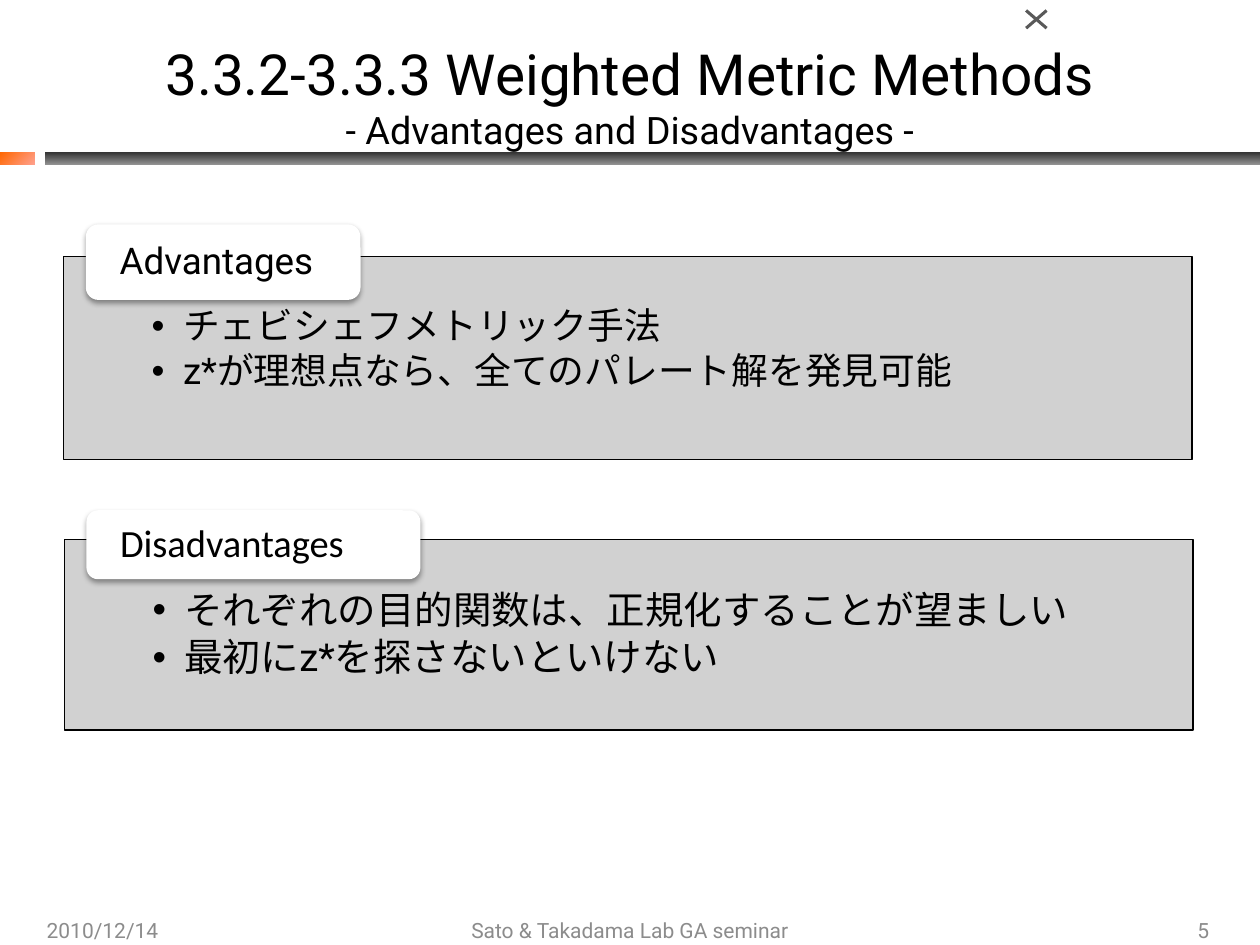
from lxml import etree
from pptx import Presentation
from pptx.dml.color import RGBColor
from pptx.enum.shapes import MSO_SHAPE
from pptx.enum.text import MSO_ANCHOR, MSO_AUTO_SIZE, PP_ALIGN
from pptx.oxml.ns import qn
from pptx.util import Pt

RECTANGLE, ROUNDED, MULTIPLY = MSO_SHAPE.RECTANGLE, MSO_SHAPE.ROUNDED_RECTANGLE, MSO_SHAPE.MATH_MULTIPLY
TOP, MIDDLE = MSO_ANCHOR.TOP, MSO_ANCHOR.MIDDLE
LEFT, CENTER, RIGHT = PP_ALIGN.LEFT, PP_ALIGN.CENTER, PP_ALIGN.RIGHT
NO_AUTOFIT = MSO_AUTO_SIZE.NONE

BLACK = RGBColor(0x00, 0x00, 0x00)
WHITE = RGBColor(0xFF, 0xFF, 0xFF)
PANEL_GRAY = RGBColor(0xCC, 0xCC, 0xCC)
FOOTER_GRAY = RGBColor(0x8C, 0x8C, 0x8C)
MARK_GRAY = RGBColor(0x59, 0x59, 0x59)
ORANGE, PEACH = RGBColor(0xFF, 0x66, 0x00), RGBColor(0xFF, 0xA2, 0x8F)
CHARCOAL, SILVER = RGBColor(0x33, 0x33, 0x33), RGBColor(0x93, 0x93, 0x93)


def set_values(target, values):
    for name, value in values.items():
        setattr(target, name, value)


def add_element(parent, tag, **attributes):
    return etree.SubElement(parent, qn(tag), attributes)


class SlideBuilder:
    font = "Roboto"

    def __init__(self, slide):
        self.slide = slide

    def place(self, shape, box):
        set_values(shape, dict(zip(("left", "top", "width", "height"), map(Pt, box))))

    def format_frame(self, frame, anchor=MIDDLE, side=0, top=0):
        set_values(frame, {
            "word_wrap": True, "auto_size": NO_AUTOFIT, "vertical_anchor": anchor,
            "margin_left": Pt(side), "margin_right": Pt(side),
            "margin_top": Pt(top), "margin_bottom": Pt(0)})

    def add_text(self, paragraph, text, size, color=BLACK, font=None, **layout):
        run = paragraph.add_run()
        run.text = text
        set_values(run.font, {"size": Pt(size), "name": font or self.font})
        run.font.color.rgb = color
        set_values(paragraph, layout)

    def title(self, box, lines):
        title = self.slide.shapes.title
        self.place(title, box)
        self.format_frame(title.text_frame)
        paragraph = title.text_frame.paragraphs[0]
        for number, (text, size) in enumerate(lines):
            if number:
                paragraph.add_line_break()
            self.add_text(paragraph, text, size, alignment=CENTER)

    def shape(self, kind, box, color):
        shape = self.slide.shapes.add_shape(kind, *map(Pt, box))
        shape.shadow.inherit = False
        shape.fill.solid()
        shape.fill.fore_color.rgb = color
        shape.line.fill.background()
        return shape

    def gradient_bar(self, box, colors, angle):
        bar = self.shape(RECTANGLE, box, colors[0])
        bar.fill.gradient()
        bar.fill.gradient_angle = angle
        for stop, color, position in zip(bar.fill.gradient_stops, colors, (0, 1)):
            stop.color.rgb = color
            stop.position = position

    def footer(self, box, text, alignment):
        frame = self.slide.shapes.add_textbox(*map(Pt, box)).text_frame
        self.format_frame(frame, side=7.2)
        self.add_text(frame.paragraphs[0], text, 12, FOOTER_GRAY, alignment=alignment)

    def list_panel(self, index, box, items, size):
        panel = self.slide.placeholders[index]
        self.place(panel, box)
        panel.fill.solid()
        panel.fill.fore_color.rgb = PANEL_GRAY
        fill_color = panel._element.spPr.find(qn("a:solidFill"))[0]
        add_element(fill_color, "a:alpha", val="90000")
        panel.line.color.rgb = BLACK
        panel.line.width = Pt(0.75)
        frame = panel.text_frame
        self.format_frame(frame, TOP, side=50.4, top=29.5)
        for number, item in enumerate(items):
            paragraph = frame.add_paragraph() if number else frame.paragraphs[0]
            properties = paragraph._p.get_or_add_pPr()
            properties.set("marL", str(Pt(18)))
            properties.set("indent", str(-Pt(18)))
            add_element(properties, "a:buChar", char="•")
            self.add_text(paragraph, item, size, level=1, alignment=LEFT, line_spacing=0.9,
                          space_before=Pt(0), space_after=Pt(0.15 * size))

    def tab(self, box, text, size, font):
        tab = self.shape(ROUNDED, box, WHITE)
        effects = tab._element.spPr.find(qn("a:effectLst"))
        shadow = add_element(effects, "a:outerShdw", blurRad=str(Pt(3.1)), dist=str(Pt(1.6)),
                             dir="5400000", rotWithShape="0")
        shadow_color = add_element(shadow, "a:srgbClr", val=str(BLACK))
        add_element(shadow_color, "a:alpha", val="38000")
        self.format_frame(tab.text_frame, side=17.3)
        self.add_text(tab.text_frame.paragraphs[0], text, size, font=font,
                      alignment=LEFT, line_spacing=0.9)


def main():
    presentation = Presentation()
    presentation.slide_width, presentation.slide_height = Pt(720), Pt(540)
    two_content_layout = presentation.slide_layouts[3]
    builder = SlideBuilder(presentation.slides.add_slide(two_content_layout))

    builder.gradient_bar((0, 87, 20, 7.3), (ORANGE, PEACH), 315)
    builder.gradient_bar((25.5, 87, 694.5, 7.3), (CHARCOAL, SILVER), 270)
    mark = builder.shape(MULTIPLY, (581, 1.4, 22.5, 19.4), MARK_GRAY)
    mark.adjustments[0] = 0.09

    builder.title((20, 21.6, 680, 65.5), [
        ("3.3.2-3.3.3 Weighted Metric Methods", 32.4),
        ("- Advantages and Disadvantages -", 21.6)])

    sections = [
        ("Advantages", "Roboto", 21, (36.2, 146.4, 645, 116), (49, 128.2, 157, 43.2),
         ["チェビシェフメトリック手法", "z*が理想点なら、全てのパレート解を発見可能"]),
        ("Disadvantages", "Calibri", 22, (36.8, 308.2, 645, 109), (49.4, 291.6, 190.8, 39.4),
         ["それぞれの目的関数は、正規化することが望ましい", "最初にz*を探さないといけない"]),
    ]
    for index, (heading, font, size, panel_box, tab_box, items) in enumerate(sections, 1):
        builder.list_panel(index, panel_box, items, size)
        builder.tab(tab_box, heading, size, font)

    for left, width, text, alignment in [
            (19.6, 168, "2010/12/14", LEFT),
            (224, 272, "Sato & Takadama Lab GA seminar", CENTER),
            (530, 168, "5", RIGHT)]:
        builder.footer((left, 525, width, 13), text, alignment)

    presentation.save("out.pptx")


if __name__ == "__main__":
    main()
